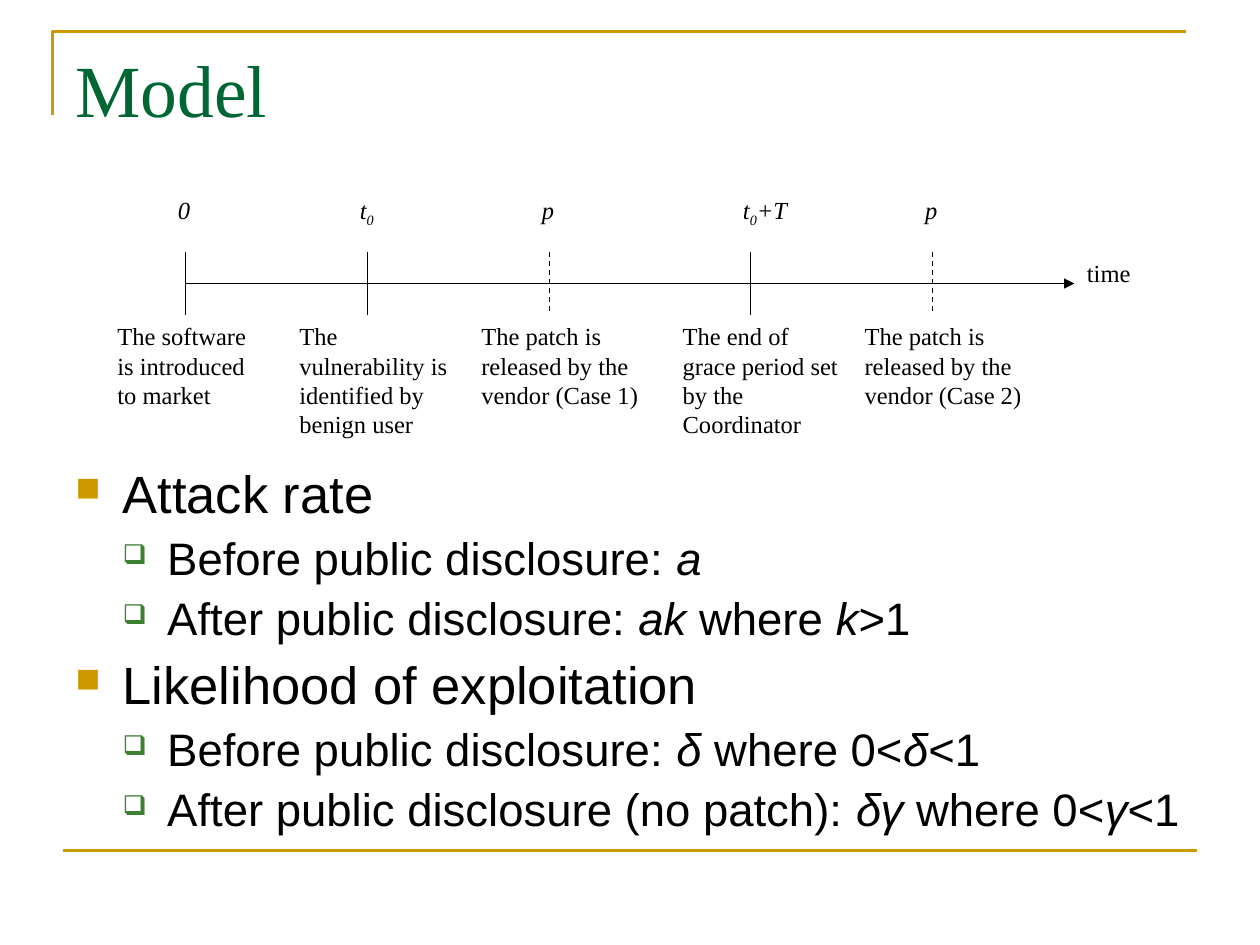
"""Build the Model slide: a disclosure timeline above bulleted assumptions."""
from lxml import etree
from pptx import Presentation
from pptx.dml.color import RGBColor
from pptx.enum.dml import MSO_LINE
from pptx.enum.shapes import MSO_CONNECTOR
from pptx.oxml.ns import qn
from pptx.util import Pt

STRAIGHT = MSO_CONNECTOR.STRAIGHT
DASH = MSO_LINE.DASH
GOLD, GREEN, BLACK = "CC9900", "006633", "000000"
SERIF = {"name": "Times New Roman", "size": Pt(14), "italic": False}
SYMBOL = SERIF | {"italic": True}


def color(value):
    return RGBColor.from_string(value)


def add_text(para, text, style, ink=BLACK):
    span = para.add_run()
    span.text = text
    for name, value in style.items():
        setattr(span.font, name, value)
    span.font.color.rgb = color(ink)
    return span


deck = Presentation()
deck.slide_width, deck.slide_height = Pt(720), Pt(540)
page = deck.slides.add_slide(deck.slide_layouts[6])

builder = page.shapes.build_freeform(Pt(30), Pt(66))
builder.add_line_segments([(Pt(30), Pt(18)), (Pt(678), Pt(18))], close=False)
corner = builder.convert_to_shape()
corner.shadow.inherit = False
corner.fill.background()
corner.line.color.rgb = color(GOLD)
corner.line.width = Pt(1.5)

ticks = [106, 210, 314, 429, 533]
dashed = [False, False, True, False, True]
axis_end = 614
lines = [
    (36, 486, 684, 486, GOLD, 1.5, False),
    (ticks[0], 162, axis_end, 162, BLACK, 0.75, False),
]
for tick, is_dashed in zip(ticks, dashed):
    lines.append((tick, 144, tick, 180, BLACK, 0.75, is_dashed))
for left, top, right, bottom, ink, width, is_dashed in lines:
    line = page.shapes.add_connector(STRAIGHT, Pt(left), Pt(top), Pt(right), Pt(bottom))
    line.line.color.rgb = color(ink)
    line.line.width = Pt(width)
    if is_dashed:
        line.line.dash_style = DASH
    if right == axis_end:
        etree.SubElement(line.line._get_or_add_ln(), qn("a:tailEnd"), type="triangle")
    etree.SubElement(line._element.spPr, qn("a:effectLst"))

symbols = [["0"], ["t", "0"], ["p"], ["t", "0", "+T"], ["p"]]
symbol_widths = [23, 34.5, 34.5, 57.5, 34.5]
captions = [
    "The software is introduced to market",
    "The vulnerability is identified by benign user",
    "The patch is released by the vendor (Case 1)",
    "The end of grace period set by the Coordinator",
    "The patch is released by the vendor (Case 2)",
]
caption_widths = [92, 104, 116, 104, 125]
texts = [
    (36, 21.6, 648, 90, ["Model"], SERIF | {"size": Pt(42)}, GREEN),
    (axis_end, 144, 46, 36, ["time"], SERIF, BLACK),
]
for tick, symbol, width in zip(ticks, symbols, symbol_widths):
    texts.append((tick - 11.5, 108, width, 36, symbol, SYMBOL, BLACK))
for tick, caption, width in zip(ticks, captions, caption_widths):
    texts.append((tick - 46, 180, width, 66, [caption], SERIF, BLACK))
for left, top, width, height, parts, style, ink in texts:
    box = page.shapes.add_textbox(Pt(left), Pt(top), Pt(width), Pt(height))
    box.text_frame.word_wrap = True
    for index, part in enumerate(parts):
        span = add_text(box.text_frame.paragraphs[0], part, style, ink)
        if index == 1:
            span.font._element.set("baseline", "-25000")

levels = [
    {"size": 30, "before": 7.5, "left": 27, "hang": 27, "mark": "■", "ink": GOLD, "percent": 65},
    {"size": 26, "before": 6.5, "left": 52.5, "hang": 25.5, "mark": "❑", "ink": "3B812F", "percent": 60},
]
# odd_parts_italic = None
points = [
    (0, ["Attack rate"]),
    (1, ["Before public disclosure: ", "a"]),
    (1, ["After public disclosure: ", "ak", " where ", "k", ">1"]),
    (0, ["Likelihood of exploitation"]),
    (1, ["Before public disclosure: ", "δ", " where 0<", "δ", "<1"]),
    (1, ["After public disclosure (no patch): ", "δγ", " where 0<", "γ", "<1"]),
]
body = page.shapes.add_textbox(Pt(36), Pt(264), Pt(648), Pt(246)).text_frame
body.word_wrap = True
for number, (level, parts) in enumerate(points):
    look = levels[level]
    para = body.add_paragraph() if number else body.paragraphs[0]
    para.level = level
    para.line_spacing = 0.9
    para.space_before = Pt(look["before"] if number else 0)
    props = para._p.get_or_add_pPr()
    props.set("marL", str(Pt(look["left"])))
    props.set("indent", str(-Pt(look["hang"])))
    bullet_color = etree.SubElement(props, qn("a:buClr"))
    etree.SubElement(bullet_color, qn("a:srgbClr"), val=look["ink"])
    etree.SubElement(props, qn("a:buSzPct"), val=str(look["percent"] * 1000))
    etree.SubElement(props, qn("a:buChar"), char=look["mark"])
    for index, part in enumerate(parts):
        add_text(para, part, {"name": "Arial", "size": Pt(look["size"]), "italic": index % 2 == 1})

deck.save("out.pptx")
